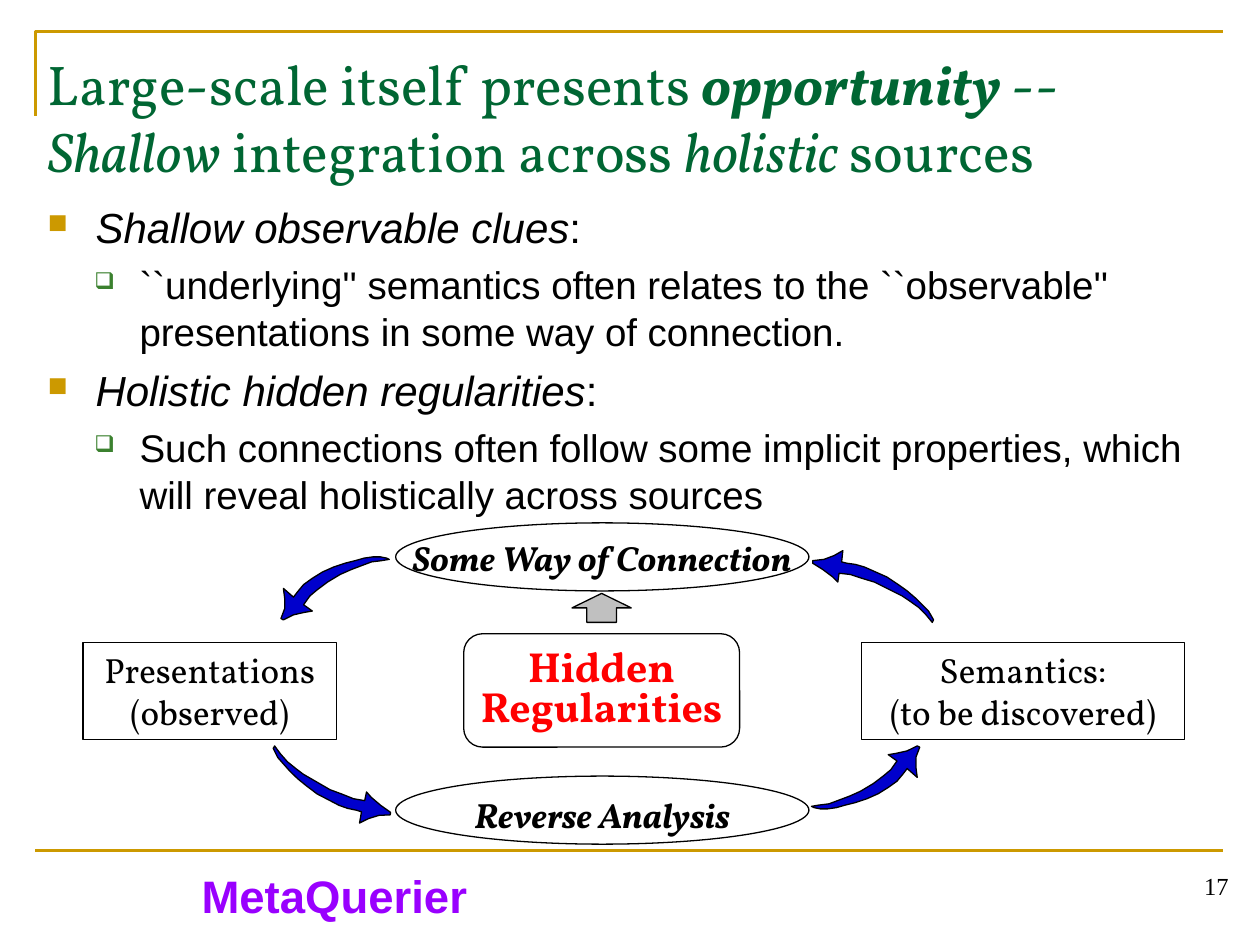
from math import cos, radians, sin

from lxml.etree import SubElement
from pptx import Presentation
from pptx.dml.color import RGBColor
from pptx.enum.shapes import MSO_CONNECTOR, MSO_SHAPE
from pptx.enum.text import MSO_ANCHOR, PP_ALIGN
from pptx.oxml.ns import qn
from pptx.util import Inches, Pt

COLORS = {
    "gold": "CC9900", "green": "006633", "leaf": "3B812F", "purple": "9900FF",
    "blue": "0000CC", "gray": "C0C0C0", "red": "FF0000", "black": "000000",
}
SERIF = "Vollkorn"


def write(para, text, size=20, font=SERIF, color="black", bold=False,
          italic=False, align=PP_ALIGN.CENTER):
    """Add one formatted run to a paragraph."""
    para.alignment = align
    run = para.add_run()
    run.text = text
    run.font.size = Pt(size)
    run.font.name = font
    run.font.bold = bold
    run.font.italic = italic
    run.font.color.rgb = RGBColor.from_string(COLORS[color])


def paint(shape, fill=None, line="black", width=0.75):
    shape.shadow.inherit = False
    if fill:
        shape.fill.solid()
        shape.fill.fore_color.rgb = RGBColor.from_string(COLORS[fill])
    else:
        shape.fill.background()
    shape.line.color.rgb = RGBColor.from_string(COLORS[line])
    shape.line.width = Pt(width)


deck = Presentation()
deck.slide_width, deck.slide_height = Inches(10), Inches(7.5)
slide = deck.slides.add_slide(deck.slide_layouts[5])
shapes = slide.shapes

# Frame lines
left, right, top, base = 0.28, 9.71, 0.25, 6.75
pen = shapes.build_freeform(Inches(left), Inches(0.92))
pen.add_line_segments([(Inches(left), Inches(top)), (Inches(right), Inches(top))],
                      close=False)
paint(pen.convert_to_shape(), line="gold", width=1.5)
rule = shapes.add_connector(MSO_CONNECTOR.STRAIGHT, Inches(left), Inches(base),
                            Inches(right), Inches(base))
rule.line.color.rgb = RGBColor.from_string(COLORS["gold"])
rule.line.width = Pt(1.5)
SubElement(rule._element.spPr, qn("a:effectLst"))

# Title
title = shapes.title
title.left, title.top = Inches(left), Inches(0.3)
title.width, title.height = Inches(9.41), Inches(1.25)
title.text_frame.vertical_anchor = MSO_ANCHOR.MIDDLE
para = title.text_frame.paragraphs[0]
look = dict(size=32, color="green", align=PP_ALIGN.LEFT)
write(para, "Large-scale itself presents ", **look)
write(para, "opportunity", bold=True, italic=True, **look)
write(para, " --", **look)
para.add_line_break()
write(para, "Shallow", italic=True, **look)
write(para, " integration across ", **look)
write(para, "holistic", italic=True, **look)
write(para, " sources", **look)

# Bulleted points: level, emphasised part, plain part
points = [
    (0, "Shallow observable clues", ":"),
    (1, "", "``underlying'' semantics often relates to the ``observable'' "
            "presentations in some way of connection."),
    (0, "Holistic hidden regularities", ":"),
    (1, "", "Such connections often follow some implicit properties, which "
            "will reveal holistically across sources"),
]
# Per level: text size, space before, margin, hang, mark, mark colour, mark percent
levels = [
    (24, 6, 0.38, 0.38, "■", "gold", 65),
    (22, 5.5, 0.73, 0.36, "❑", "leaf", 60),
]
body = shapes.add_textbox(Inches(left), Inches(1.55), Inches(9.41), Inches(2.6))
frame = body.text_frame
frame.word_wrap = True
for i, (level, stress, plain) in enumerate(points):
    size, gap, margin, hang, mark, tint, share = levels[level]
    para = frame.add_paragraph() if i else frame.paragraphs[0]
    para.level = level
    para.space_before = Pt(gap if i else 0)
    props = para._p.get_or_add_pPr()
    props.set("marL", str(Inches(margin)))
    props.set("indent", str(-Inches(hang)))
    SubElement(SubElement(props, qn("a:buClr")), qn("a:srgbClr"), val=COLORS[tint])
    SubElement(props, qn("a:buSzPct"), val=str(share * 1000))
    SubElement(props, qn("a:buChar"), char=mark)
    look = dict(size=size, font="Arial", align=PP_ALIGN.LEFT)
    if stress:
        write(para, stress, italic=True, **look)
    write(para, plain, **look)

# Diagram shapes
RECT, OVAL = MSO_SHAPE.RECTANGLE, MSO_SHAPE.OVAL
nodes = [
    (RECT, 0.66, 5.1, 2.01, 0.77, None),
    (RECT, 6.84, 5.1, 2.56, 0.77, None),
    (MSO_SHAPE.ROUNDED_RECTANGLE, 3.68, 5.03, 2.19, 0.9, None),
    (OVAL, 3.14, 4.15, 3.28, 0.54, None),
    (OVAL, 3.14, 6.16, 3.28, 0.54, None),
    (MSO_SHAPE.UP_ARROW, 4.54, 4.71, 0.47, 0.23, "gray"),
]
for kind, x, y, w, h, fill in nodes:
    paint(shapes.add_shape(kind, Inches(x), Inches(y), Inches(w), Inches(h)), fill)

# Labels: left, top, width, height, lines, format
strong = dict(bold=True, italic=True)
labels = [
    (0.66, 5.1, 2.01, 0.77, ["Presentations", "(observed)"], {}),
    (6.84, 5.1, 2.56, 0.77, ["Semantics:", "(to be discovered)"], {}),
    (2.93, 4.21, 3.7, 0.44, ["Some Way of Connection"], strong),
    (3.48, 6.25, 2.6, 0.44, ["Reverse Analysis"], strong),
    (3.66, 5.11, 2.23, 0.8, ["Hidden Regularities"],
     dict(size=24, color="red", bold=True)),
    (1.5, 6.84, 2.31, 0.54, ["MetaQuerier"],
     dict(size=26, font="Arial", color="purple", bold=True)),
    (8.55, 6.86, 1.3, 0.52, ["17"],
     dict(size=14, font="Times New Roman", align=PP_ALIGN.RIGHT)),
]
for x, y, w, h, lines, look in labels:
    box = shapes.add_textbox(Inches(x), Inches(y), Inches(w), Inches(h))
    frame = box.text_frame
    frame.word_wrap = True
    for i, text in enumerate(lines):
        para = frame.add_paragraph() if i else frame.paragraphs[0]
        if look.get("color") == "red":
            para.line_spacing = 0.8
        write(para, text, **look)

# Curved arrows: outlines start at the tail; the lower pair is turned about it
long = [
    (0, 0), (0.01, -0.02), (-0.03, -0.09), (-0.08, -0.14), (-0.13, -0.19),
    (-0.2, -0.25), (-0.27, -0.3), (-0.36, -0.36), (-0.45, -0.4), (-0.54, -0.44),
    (-0.61, -0.46), (-0.68, -0.47), (-0.72, -0.48), (-0.71, -0.57),
    (-0.78, -0.53), (-0.86, -0.5), (-0.95, -0.49), (-0.95, -0.47),
    (-0.87, -0.42), (-0.79, -0.36), (-0.75, -0.32), (-0.74, -0.39),
    (-0.65, -0.38), (-0.56, -0.35), (-0.46, -0.32), (-0.34, -0.26),
    (-0.24, -0.21), (-0.18, -0.17), (-0.11, -0.12), (-0.05, -0.06),
]
short = [
    (0, 0), (-0.02, -0.01), (-0.07, -0.02), (-0.13, -0.02), (-0.2, -0.01),
    (-0.27, 0.01), (-0.35, 0.03), (-0.44, 0.06), (-0.53, 0.1), (-0.61, 0.15),
    (-0.68, 0.2), (-0.73, 0.26), (-0.76, 0.3), (-0.84, 0.23), (-0.83, 0.31),
    (-0.83, 0.39), (-0.86, 0.47), (-0.84, 0.48), (-0.76, 0.44), (-0.67, 0.42),
    (-0.61, 0.41), (-0.68, 0.36), (-0.63, 0.29), (-0.57, 0.24), (-0.49, 0.18),
    (-0.39, 0.12), (-0.3, 0.08), (-0.22, 0.05), (-0.14, 0.02), (-0.06, 0.01),
]
arrows = [(long, 7.4, 4.94, 0), (short, 3.09, 4.44, 0),
          (long, 2.18, 5.92, 183.5), (short, 6.44, 6.4, 180)]
for shape, x, y, turn in arrows:
    c, s = cos(radians(turn)), sin(radians(turn))
    spots = [(Inches(x + c * dx - s * dy), Inches(y + s * dx + c * dy))
             for dx, dy in shape]
    pen = shapes.build_freeform(*spots[0])
    pen.add_line_segments(spots[1:], close=True)
    paint(pen.convert_to_shape(), "blue")

deck.save("out.pptx")
